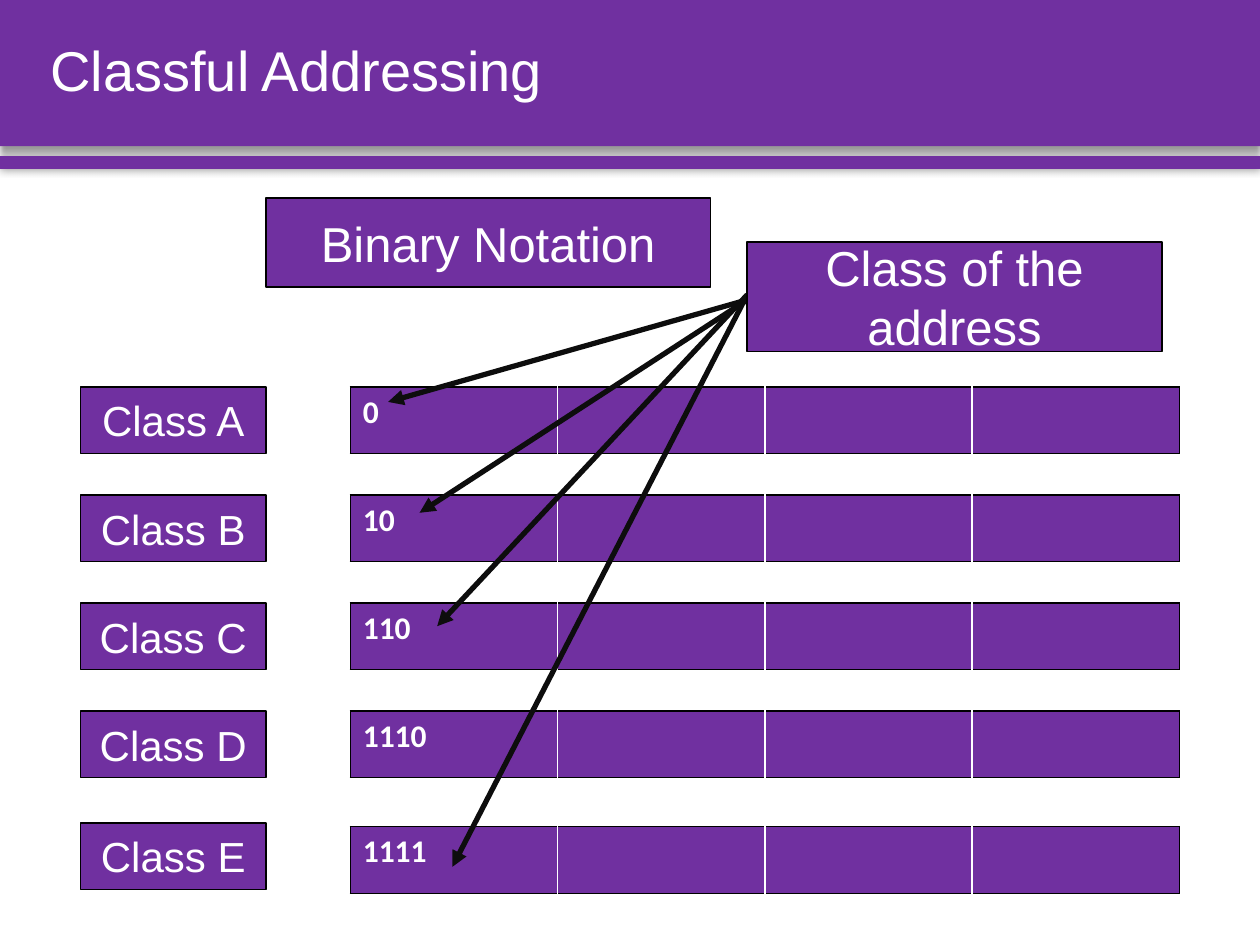
from dataclasses import dataclass

from lxml import etree
from pptx import Presentation
from pptx import util as u
from pptx.dml.color import RGBColor
from pptx.enum import shapes, text
from pptx.oxml import ns

In = u.Inches


@dataclass(frozen=True)
class Theme:
    fill: str = "7030A0"
    ink: str = "FFFFFF"
    edge: str = "000000"
    arrow: str = "0D0D0D"
    font: str = "Arial"
    digits: str = "Calibri"
    title: int = 32
    head: int = 28
    label: int = 24
    bits: int = 18


T = Theme()

LEFT, TOP, PITCH, HIGH = 2.78, 3.07, 0.8575, 0.53
COLS, COL_W = 4, 1.645
CLASSES = [("Class A", "0"), ("Class B", "10"), ("Class C", "110"),
           ("Class D", "1110"), ("Class E", "1111")]
# The last class sits a little below the regular grid
LAST_LABEL, LAST_ROW = 6.53, 6.56

# Start height beside the callout, then the tip of each arrow
ARROWS = [(2.38, 3.08, 3.19), (2.38, 3.33, 4.07),
          (2.34, 3.47, 4.97), (2.34, 3.59, 6.88)]
CALL_X = 5.93


def rgb(code):
    return RGBColor.from_string(code)


def sub(node, tag, **attrs):
    return etree.SubElement(node, ns.qn(tag), attrs)


def write(frame, words, size, font=T.font, bold=False,
          align=text.PP_ALIGN.LEFT, anchor=None, space=None):
    frame.word_wrap = True
    if anchor is not None:
        frame.vertical_anchor = anchor
    para = frame.paragraphs[0]
    para.alignment = align
    if space:
        para.line_spacing = space
    run = para.add_run()
    run.text = words
    run.font.name, run.font.size, run.font.bold = font, u.Pt(size), bold
    run.font.color.rgb = rgb(T.ink)


def add_rect(slide, left, top, width, height):
    rect = slide.shapes.add_shape(shapes.MSO_SHAPE.RECTANGLE, In(left),
                                  In(top), In(width), In(height))
    rect.shadow.inherit = False
    rect.fill.solid()
    rect.fill.fore_color.rgb = rgb(T.fill)
    return rect


def add_bar(slide, top, height, blur, dist, angle):
    bar = add_rect(slide, 0, top, 10, height)
    bar.line.fill.background()
    effects = bar._element.spPr.find(ns.qn("a:effectLst"))
    shade = sub(effects, "a:outerShdw", blurRad=str(u.Pt(blur)),
                dist=str(u.Pt(dist)), dir=str(angle * 60000),
                algn="ctr", rotWithShape="0")
    color = sub(shade, "a:srgbClr", val=T.edge)
    sub(color, "a:alpha", val="40000")


def add_box(slide, words, left, top, width, height, size):
    box = add_rect(slide, left, top, width, height)
    box.line.color.rgb = rgb(T.edge)
    box.line.width = u.Pt(1)
    write(box.text_frame, words, size, align=text.PP_ALIGN.CENTER,
          anchor=text.MSO_ANCHOR.MIDDLE)


def add_border(cell, side, color):
    line = sub(cell._tc.get_or_add_tcPr(), "a:ln" + side, w=str(u.Pt(1)))
    sub(sub(line, "a:solidFill"), "a:srgbClr", val=color)


def add_bytes(slide, bits, top):
    frame = slide.shapes.add_table(1, COLS, In(LEFT), In(top),
                                   In(COLS * COL_W), In(HIGH))
    table = frame.table
    table.first_row = table.horz_banding = False
    for i, cell in enumerate(table.rows[0].cells):
        table.columns[i].width = In(COL_W)
        add_border(cell, "L", T.edge if i == 0 else T.ink)
        add_border(cell, "R", T.edge if i == COLS - 1 else T.ink)
        add_border(cell, "T", T.edge)
        add_border(cell, "B", T.edge)
        cell.fill.solid()
        cell.fill.fore_color.rgb = rgb(T.fill)
    write(table.cell(0, 0).text_frame, bits, T.bits, font=T.digits, bold=True)


def add_arrow(slide, start, x, y):
    line = slide.shapes.add_connector(shapes.MSO_CONNECTOR.STRAIGHT,
                                      In(CALL_X), In(start), In(x), In(y))
    line.line.color.rgb = rgb(T.arrow)
    line.line.width = u.Pt(3)
    sub(line.line._get_or_add_ln(), "a:tailEnd", type="triangle")
    sub(line._element.spPr, "a:effectLst")


def add_title(slide, words):
    title = slide.shapes.title
    title.left, title.top = In(0.3), In(0)
    title.width, title.height = In(9.46), In(1.16)
    write(title.text_frame, words, T.title, space=0.9,
          anchor=text.MSO_ANCHOR.MIDDLE)
    # Bring the title in front of the header bars
    slide.shapes._spTree.append(title._element)


def main():
    deck = Presentation()
    deck.slide_width, deck.slide_height = In(10), In(7.5)
    slide = deck.slides.add_slide(deck.slide_layouts[5])

    # Header
    add_bar(slide, 0, 1.16, blur=4, dist=3, angle=90)
    add_bar(slide, 1.24, 0.1, blur=5, dist=0, angle=0)
    add_title(slide, "Classful Addressing")

    # Address classes and their leading bits
    add_box(slide, "Binary Notation", 2.11, 1.57, 3.53, 0.71, T.head)
    for i, (name, bits) in enumerate(CLASSES):
        last = i == len(CLASSES) - 1
        top = TOP + i * PITCH
        add_box(slide, name, 0.64, LAST_LABEL if last else top,
                1.47, HIGH, T.label)
        add_bytes(slide, bits, LAST_ROW if last else top)

    # Callout with arrows to the class bits
    for arrow in ARROWS:
        add_arrow(slide, *arrow)
    add_box(slide, "Class of the address", CALL_X, 1.92, 3.29, 0.87, T.head)

    deck.save("out.pptx")


if __name__ == "__main__":
    main()
